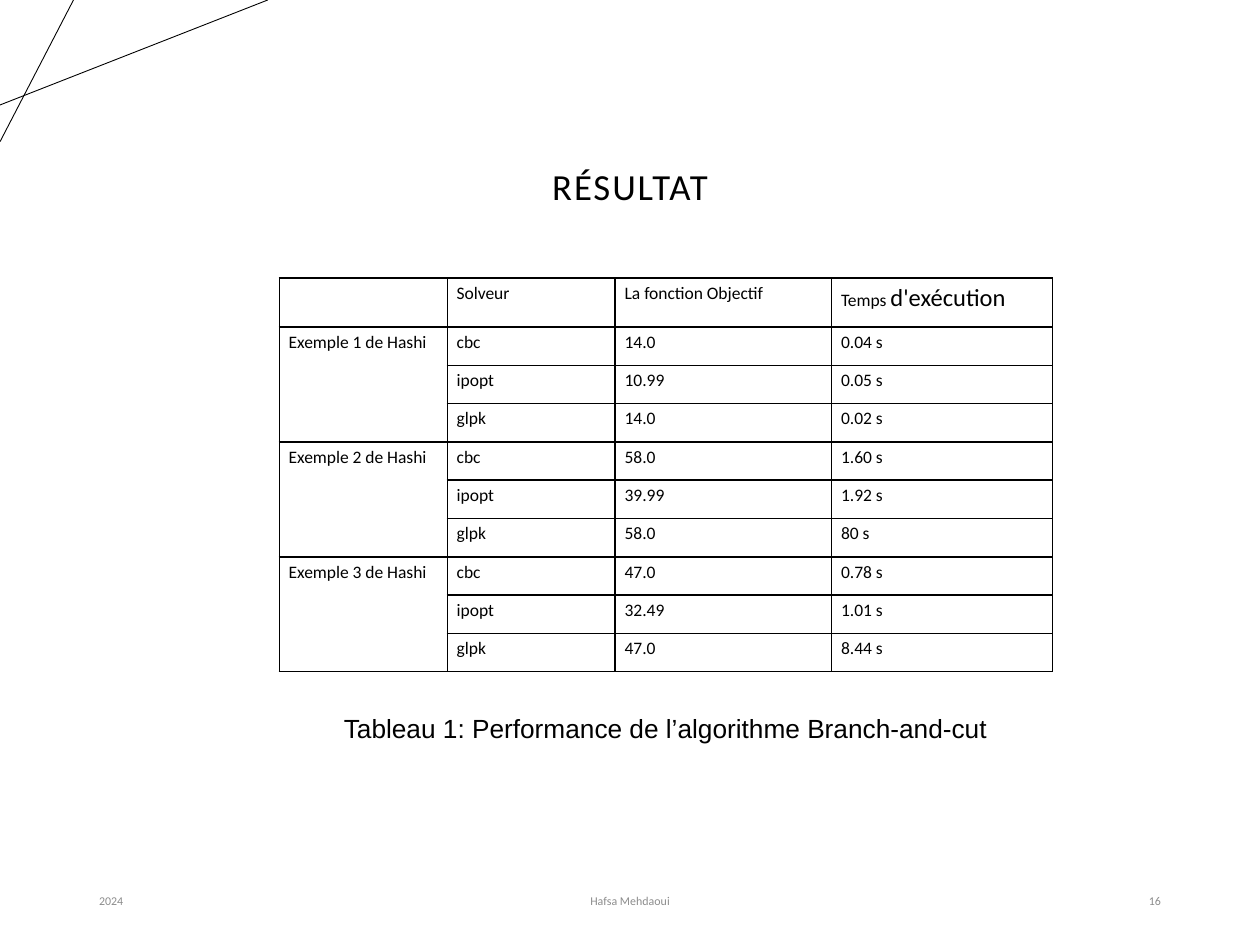
"""Builds the results slide with the solver comparison table."""
from lxml.etree import SubElement
from pptx import Presentation
from pptx.dml.color import RGBColor
from pptx.enum.shapes import MSO_CONNECTOR
from pptx.enum.text import MSO_ANCHOR, MSO_AUTO_SIZE, PP_ALIGN
from pptx.oxml.ns import qn
from pptx.util import Pt

BLACK = RGBColor(0x00, 0x00, 0x00)
GRAY = RGBColor(0x8C, 0x8C, 0x8C)

TITLE = {"name": "Calibri", "size": Pt(21), "bold": False}
FOOTER = {"name": "Calibri", "size": Pt(6.8)}
CAPTION = {"name": "Arial", "size": Pt(15)}
CELL = {"name": "Calibri", "size": Pt(10), "bold": False}
LARGE_CELL = {**CELL, "size": Pt(14)}

MARGINS = {
    "margin_left": Pt(5.4), "margin_right": Pt(5.4),
    "margin_top": Pt(2.7), "margin_bottom": Pt(2.7),
}
HEADERS = ["Solveur", "La fonction Objectif", "Temps "]
SOLVERS = ["cbc", "ipopt", "glpk"]
RESULTS = {
    "Exemple 1 de Hashi": [("14.0", "0.04 s"), ("10.99", "0.05 s"), ("14.0", "0.02 s")],
    "Exemple 2 de Hashi": [("58.0", "1.60 s"), ("39.99", "1.92 s"), ("58.0", "80 s")],
    "Exemple 3 de Hashi": [("47.0", "0.78 s"), ("32.49", "1.01 s"), ("47.0", "8.44 s")],
}


def apply_values(target, values):
    for attribute, value in values.items():
        setattr(target, attribute, value)


class SlideBuilder:
    def __init__(self, slide):
        self.slide = slide

    def add_run(self, paragraph, text, style, color=BLACK):
        run = paragraph.add_run()
        run.text = text
        apply_values(run.font, style)
        run.font.color.rgb = color
        return run

    def add_title(self, text, left, top, width, height):
        shape = self.slide.shapes.title
        apply_values(shape, {"left": Pt(left), "top": Pt(top),
                             "width": Pt(width), "height": Pt(height)})
        apply_values(shape.text_frame, {"vertical_anchor": MSO_ANCHOR.MIDDLE,
                                        "auto_size": MSO_AUTO_SIZE.NONE})
        paragraph = shape.text_frame.paragraphs[0]
        apply_values(paragraph, {"alignment": PP_ALIGN.CENTER, "line_spacing": 0.9})
        run = self.add_run(paragraph, text, TITLE)
        run.font._element.set("spc", "110")

    def add_line(self, start_x, start_y, end_x, end_y):
        line = self.slide.shapes.add_connector(
            MSO_CONNECTOR.STRAIGHT, Pt(start_x), Pt(start_y), Pt(end_x), Pt(end_y))
        line.line.color.rgb = BLACK
        line.line.width = Pt(0.5)
        SubElement(line._element.spPr, qn("a:effectLst"))

    def add_text(self, text, left, top, width, height, style, color, frame_values,
                 alignment=PP_ALIGN.LEFT):
        shape = self.slide.shapes.add_textbox(Pt(left), Pt(top), Pt(width), Pt(height))
        apply_values(shape.text_frame, frame_values)
        paragraph = shape.text_frame.paragraphs[0]
        paragraph.alignment = alignment
        self.add_run(paragraph, text, style, color)

    def add_borders(self, cell):
        properties = cell._tc.get_or_add_tcPr()
        for side in ("lnL", "lnR", "lnT", "lnB"):
            border = SubElement(properties, qn(f"a:{side}"), w=str(Pt(1)))
            fill = SubElement(border, qn("a:solidFill"))
            SubElement(fill, qn("a:srgbClr"), val=str(BLACK))

    def add_table(self, rows, left, top, widths, heights):
        table = self.slide.shapes.add_table(
            len(rows), len(widths), Pt(left), Pt(top),
            Pt(sum(widths)), Pt(sum(heights))).table
        apply_values(table, {"first_row": False, "horz_banding": False})
        for column, width in zip(table.columns, widths):
            column.width = Pt(width)
        for row, height, texts in zip(table.rows, heights, rows):
            row.height = Pt(height)
            for cell, text in zip(row.cells, texts):
                self.add_borders(cell)
                cell.fill.background()
                apply_values(cell, MARGINS)
                if text:
                    self.add_run(cell.text_frame.paragraphs[0], text, CELL)
        return table


def main():
    presentation = Presentation()
    presentation.slide_width, presentation.slide_height = Pt(720), Pt(540)
    builder = SlideBuilder(presentation.slides.add_slide(presentation.slide_layouts[5]))

    builder.add_line(0, 60, 153, 0)
    builder.add_line(42, 0, 0, 81)
    builder.add_title("RÉSULTAT", 49.5, 89.3, 621, 36.7)

    footer_frame = {"word_wrap": True, "vertical_anchor": MSO_ANCHOR.MIDDLE}
    for text, left, width, alignment in (
            ("2024", 49.5, 162, PP_ALIGN.LEFT),
            ("Hafsa Mehdaoui", 238.5, 243, PP_ALIGN.CENTER),
            ("16", 508.5, 162, PP_ALIGN.RIGHT)):
        builder.add_text(text, left, 500.5, width, 28.8, FOOTER, GRAY,
                         footer_frame, alignment)

    builder.add_text("Tableau 1: Performance de l’algorithme Branch-and-cut",
                     189.4, 403.2, 386.6, 25.2, CAPTION, BLACK,
                     {"word_wrap": False, "auto_size": MSO_AUTO_SIZE.SHAPE_TO_FIT_TEXT})

    group_size = len(SOLVERS)
    rows = [["", *HEADERS]]
    for example, results in RESULTS.items():
        for index, (solver, values) in enumerate(zip(SOLVERS, results)):
            rows.append(["" if index else example, solver, *values])
    heights = [28] + [21.9] * (len(rows) - 1)
    table = builder.add_table(rows, 159.6, 158.9, [96, 96, 123.7, 126.2], heights)
    for first in range(1, len(rows), group_size):
        table.cell(first, 0).merge(table.cell(first + group_size - 1, 0))
    time_header = table.cell(0, 3).text_frame.paragraphs[0]
    builder.add_run(time_header, "d'exécution", LARGE_CELL)

    presentation.save("out.pptx")


if __name__ == "__main__":
    main()
